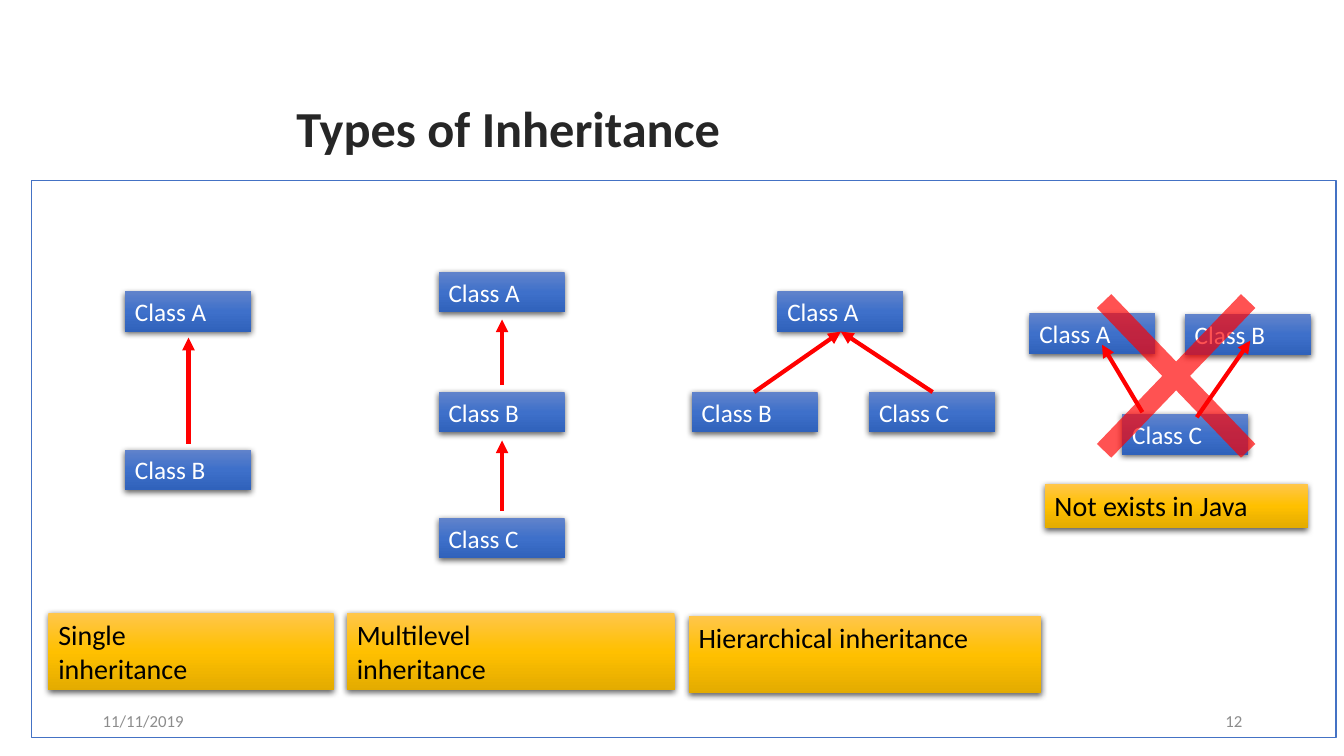
from copy import deepcopy
from dataclasses import dataclass

from lxml.etree import SubElement
from pptx import Presentation
from pptx.dml.color import RGBColor
from pptx.enum.shapes import MSO_CONNECTOR, MSO_SHAPE
from pptx.enum.text import MSO_ANCHOR, MSO_AUTO_SIZE, PP_ALIGN
from pptx.oxml.ns import qn
from pptx.util import Inches, Pt


@dataclass(frozen=True)
class Theme:
    font: str = "Calibri"
    title_size: int = 36
    caption_size: int = 20
    class_size: int = 18
    footer_size: int = 12
    white: str = "FFFFFF"
    black: str = "000000"
    title: str = "262626"
    footer: str = "8C8C8C"
    frame: str = "4472C4"
    red: str = "FF0000"
    blues: tuple = ("6183CB", "3E70CA", "3062BB")
    golds: tuple = ("FFC64B", "FFC000", "E3AB00")


def color(value):
    return RGBColor.from_string(value)


def write(box, text, font, size, ink, bold=False, align=PP_ALIGN.LEFT, anchor=MSO_ANCHOR.TOP):
    frame = box.text_frame
    frame.word_wrap = True
    frame.vertical_anchor = anchor
    for index, line in enumerate(text.split("\n")):
        para = frame.add_paragraph() if index else frame.paragraphs[0]
        para.alignment = align
        span = para.add_run()
        span.text = line
        span.font.name = font
        span.font.size = Pt(size)
        span.font.bold = bold
        span.font.color.rgb = color(ink)


class Diagram:
    def __init__(self, slide, theme):
        self.slide = slide
        self.theme = theme

    def shape(self, kind, place):
        shape = self.slide.shapes.add_shape(kind, *map(Inches, place))
        shape.shadow.inherit = False
        shape.line.fill.background()
        return shape

    def frame(self, place):
        frame = self.shape(MSO_SHAPE.RECTANGLE, place)
        frame.fill.solid()
        frame.fill.fore_color.rgb = color(self.theme.white)
        frame.line.color.rgb = color(self.theme.frame)
        frame.line.width = Pt(1)

    def label(self, place, text, **style):
        box = self.slide.shapes.add_textbox(*map(Inches, place))
        write(box, text, self.theme.font, **style)

    def glossy_box(self, place, text, shades, size, ink):
        box = self.shape(MSO_SHAPE.RECTANGLE, place)
        box.fill.gradient()
        box.fill.gradient_angle = 270
        properties = box.element.spPr
        stops = properties.find(".//" + qn("a:gsLst"))
        stops.append(deepcopy(stops[-1]))
        for index, (stop, shade) in enumerate(zip(box.fill.gradient_stops, shades)):
            stop.color.rgb = color(shade)
            stop.position = index / 2
        shadow = SubElement(
            properties.find(qn("a:effectLst")), qn("a:outerShdw"),
            blurRad=str(Pt(4.5)), dist=str(Pt(1.5)), dir="5400000", rotWithShape="0")
        tint = SubElement(shadow, qn("a:srgbClr"), val=self.theme.black)
        SubElement(tint, qn("a:alpha"), val="63000")
        write(box, text, self.theme.font, size, ink)
        box.text_frame.auto_size = MSO_AUTO_SIZE.SHAPE_TO_FIT_TEXT

    def class_box(self, left, top, letter):
        self.glossy_box((left, top, 1.25, 0.4), f"Class {letter}",
                        self.theme.blues, self.theme.class_size, self.theme.white)

    def caption(self, place, text):
        self.glossy_box(place, text, self.theme.golds,
                        self.theme.caption_size, self.theme.black)

    def arrow(self, *ends):
        arrow = self.slide.shapes.add_connector(MSO_CONNECTOR.STRAIGHT, *map(Inches, ends))
        arrow.line.color.rgb = color(self.theme.red)
        arrow.line.width = Pt(3)
        SubElement(arrow.line._get_or_add_ln(), qn("a:tailEnd"), type="triangle")
        SubElement(arrow.element.spPr, qn("a:effectLst"))

    def cross(self, place):
        cross = self.shape(MSO_SHAPE.MATH_MULTIPLY, place)
        cross.adjustments[0] = 0.072
        cross.fill.solid()
        cross.fill.fore_color.rgb = color(self.theme.red)
        tint = cross.element.spPr.find(qn("a:solidFill"))[0]
        SubElement(tint, qn("a:alpha"), val="68000")


def main():
    theme = Theme()
    deck = Presentation()
    deck.slide_width = Inches(13.33)
    deck.slide_height = Inches(7.5)
    page = deck.slides.add_slide(deck.slide_layouts[6])
    diagram = Diagram(page, theme)

    diagram.frame((0.31, 1.79, 12.94, 5.53))
    for left, text, align in (
        (0.92, "11/11/2019", PP_ALIGN.LEFT),
        (9.42, "12", PP_ALIGN.RIGHT),
    ):
        diagram.label((left, 6.95, 3, 0.4), text, size=theme.footer_size,
                      ink=theme.footer, align=align, anchor=MSO_ANCHOR.MIDDLE)
    diagram.label((2.84, 0.91, 9.75, 1.4), "Types of Inheritance",
                  size=theme.title_size, ink=theme.title, bold=True)

    hierarchical = ((7.71, 2.89, "A"), (6.86, 3.89, "B"), (8.62, 3.89, "C"))
    single = ((1.24, 2.89, "A"), (1.24, 4.46, "B"))
    multilevel = ((4.35, 2.7, "A"), (4.35, 3.89, "B"), (4.35, 5.14, "C"))
    multiple = ((10.21, 3.11, "A"), (11.75, 3.12, "B"), (11.13, 4.11, "C"))
    for item in hierarchical + single + multilevel + multiple:
        diagram.class_box(*item)

    for ends in (
        (1.87, 4.4, 1.87, 3.35),
        (4.98, 3.82, 4.98, 3.17),
        (4.98, 5.07, 4.98, 4.37),
        (7.48, 3.89, 8.34, 3.29),
        (9.25, 3.89, 8.34, 3.29),
        (11.33, 4.09, 10.93, 3.42),
        (11.87, 4.14, 12.4, 3.38),
    ):
        diagram.arrow(*ends)

    diagram.cross((10.29, 2.3, 2.75, 2.86))
    for place, text in (
        ((0.48, 6.08, 2.83, 0.77), "Single\ninheritance"),
        ((3.44, 6.08, 3.25, 0.77), "Multilevel\ninheritance"),
        ((6.83, 6.11, 3.5, 0.77), "Hierarchical inheritance"),
        ((10.36, 4.8, 2.61, 0.44), "Not exists in Java"),
    ):
        diagram.caption(place, text)

    deck.save("out.pptx")


if __name__ == "__main__":
    main()
